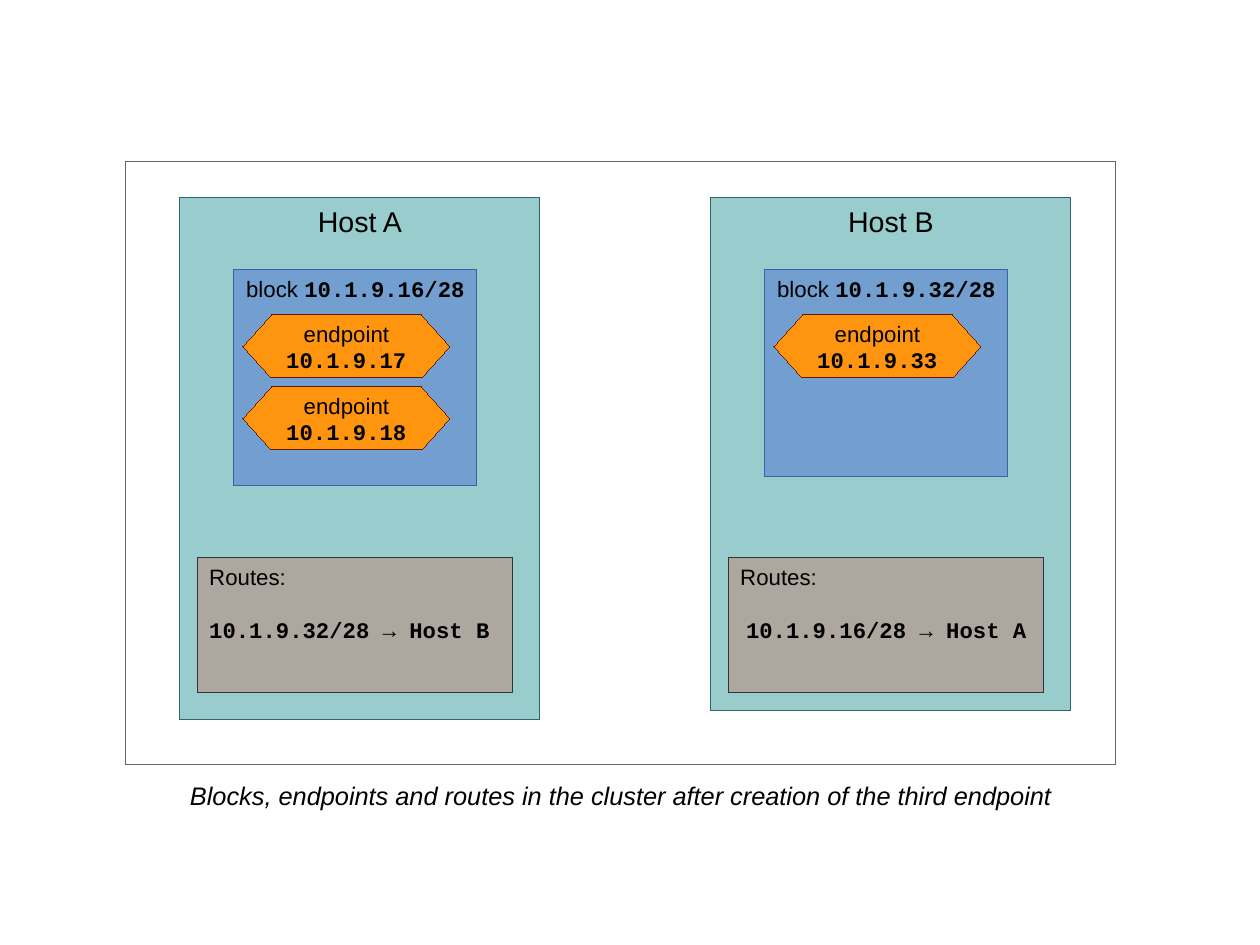
from pptx import Presentation
from pptx import util as u
from pptx.dml.color import RGBColor
from pptx.enum import shapes, text

BLACK = RGBColor(0x00, 0x00, 0x00)
FRAME_EDGE = RGBColor(0x66, 0x66, 0x66)
HOST_FILL = RGBColor(0x99, 0xCC, 0xCC)
HOST_EDGE = RGBColor(0x33, 0x66, 0x66)
BLOCK_FILL = RGBColor(0x72, 0x9F, 0xCF)
BLOCK_EDGE = RGBColor(0x34, 0x65, 0xA4)
ENDPOINT_FILL = RGBColor(0xFF, 0x95, 0x0E)
ENDPOINT_EDGE = RGBColor(0x66, 0x19, 0x00)
ROUTES_FILL = RGBColor(0xAE, 0xA7, 0x9F)
ROUTES_EDGE = RGBColor(0x33, 0x33, 0x33)

RECT = shapes.MSO_SHAPE.RECTANGLE
HEXAGON = shapes.MSO_SHAPE.HEXAGON
LEFT = text.PP_ALIGN.LEFT
CENTER = text.PP_ALIGN.CENTER
TOP = text.MSO_ANCHOR.TOP
MIDDLE = text.MSO_ANCHOR.MIDDLE

PLAIN = {"name": "Arial", "size": u.Pt(14), "bold": False}
ADDRESS = {"name": "Courier New", "size": u.Pt(14), "bold": True}
HOST_TITLE = {"name": "Arial", "size": u.Pt(18)}
CAPTION = {"name": "Arial", "size": u.Pt(16), "italic": True}

deck = Presentation()
deck.slide_width, deck.slide_height = u.Pt(793.7), u.Pt(595.28)
slide = deck.slides.add_slide(deck.slide_layouts[6])


def add_box(kind, left, top, width, height, fill, edge, anchor=TOP):
    box = slide.shapes.add_shape(kind, u.Pt(left), u.Pt(top), u.Pt(width), u.Pt(height))
    box.shadow.inherit = False
    if fill is None:
        box.fill.background()
    else:
        box.fill.solid()
        box.fill.fore_color.rgb = fill
    box.line.color.rgb = edge
    box.line.width = u.Pt(0.01)
    box.text_frame.word_wrap = False
    box.text_frame.vertical_anchor = anchor
    return box


def write(paragraph, align, *runs):
    paragraph.alignment = align
    for words, style in runs:
        if words == "\n":
            paragraph.add_line_break()
            continue
        run = paragraph.add_run()
        run.text = words
        run.font.color.rgb = BLACK
        for attribute, value in style.items():
            setattr(run.font, attribute, value)


hosts = [
    ("Host A", 113.39, 328.82, 136.06, "10.1.9.16/28", ["10.1.9.17", "10.1.9.18"],
     "10.1.9.32/28 → Host B", LEFT),
    ("Host B", 447.87, 323.15, 130.39, "10.1.9.32/28", ["10.1.9.33"],
     "10.1.9.16/28 → Host A", CENTER),
]

for name, left, host_height, block_height, block_range, addresses, route, route_align in hosts:
    host = add_box(RECT, left, 124.72, 226.77, host_height, HOST_FILL, HOST_EDGE)
    write(host.text_frame.paragraphs[0], CENTER, (name, HOST_TITLE))

    block = add_box(RECT, left + 34.02, 170.08, 153.07, block_height, BLOCK_FILL, BLOCK_EDGE)
    write(block.text_frame.paragraphs[0], CENTER, ("block ", PLAIN), (block_range, ADDRESS))

    for row, address in enumerate(addresses):
        endpoint = add_box(HEXAGON, left + 39.69, 198.43 + 45.35 * row, 130.39, 39.69,
                           ENDPOINT_FILL, ENDPOINT_EDGE, MIDDLE)
        endpoint.adjustments[0] = 0.45
        write(endpoint.text_frame.paragraphs[0], CENTER,
              ("endpoint", PLAIN), ("\n", PLAIN), (address, ADDRESS))

    routes = add_box(RECT, left + 11.34, 351.5, 198.43, 85.04, ROUTES_FILL, ROUTES_EDGE)
    write(routes.text_frame.paragraphs[0], LEFT, ("Routes:", PLAIN))
    route_line = routes.text_frame.add_paragraph()
    route_line.space_before = u.Pt(16.5)
    write(route_line, route_align, (route, ADDRESS))

add_box(RECT, 79.37, 102.05, 623.62, 379.84, None, FRAME_EDGE)

caption = slide.shapes.add_textbox(u.Pt(79.37), u.Pt(487.56), u.Pt(623.62), u.Pt(25.2))
caption.text_frame.word_wrap = True
write(caption.text_frame.paragraphs[0], CENTER,
      ("Blocks, endpoints and routes in the cluster after creation of the third endpoint", CAPTION))

deck.save("out.pptx")
